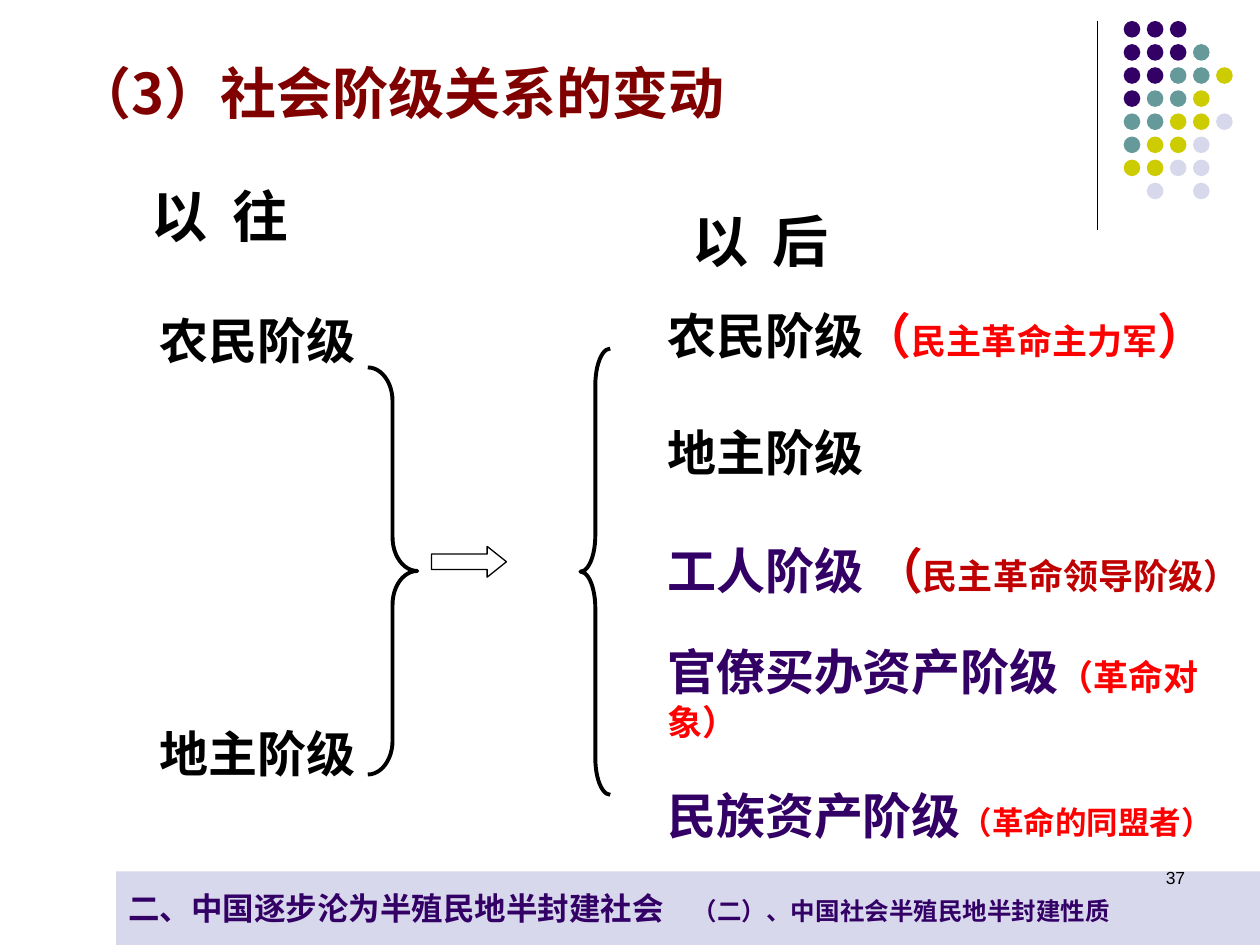
from lxml.etree import SubElement
from pptx import Presentation
from pptx.dml.color import RGBColor as RGB
from pptx.enum.shapes import MSO_CONNECTOR as LINE, MSO_SHAPE as SHAPE
from pptx.enum.text import MSO_ANCHOR as ANCHOR, PP_ALIGN as ALIGN
from pptx.oxml.ns import qn
from pptx.util import Pt

HUES = {"purple": "330066", "teal": "669999", "lime": "CCCC00",
        "pale": "D8D8EC", "maroon": "800000", "red": "FF0000",
        "dark": "C00000", "black": "000000", "white": "FFFFFF"}
CJK = "Noto Sans CJK SC"
DOTS = ["PPP", "PPPT", "PPTTL", "PTTL", "TTLLW", "TLLW", "LLWW", " W W"]
DOT_HUES = {"P": "purple", "T": "teal", "L": "lime", "W": "pale"}


def hue(name):
    return RGB.from_string(HUES[name])


def style(font, size=None, color=None, name=None, bold=None):
    if size:
        font.size = Pt(size)
    if color:
        font.color.rgb = hue(color)
    if bold is not None:
        font.bold = bold
    if name:
        font.name = name
        SubElement(font._rPr, qn("a:ea")).set("typeface", CJK)


def add_tabs(para, stops):
    tabs = SubElement(para._p.get_or_add_pPr(), qn("a:tabLst"))
    for stop in stops:
        SubElement(tabs, qn("a:tab"), pos=str(Pt(stop)), algn="l")


def write(para, runs, name=CJK, gap=0, tabs=(), bold=True):
    """Fill a paragraph with (text, size, color) runs."""
    if gap:
        para.space_before = Pt(gap)
    if tabs:
        add_tabs(para, tabs)
    if len(runs) == 1:
        style(para.font, runs[0][1], runs[0][2], name, bold)
        para.add_run().text = runs[0][0]
        return
    style(para.font, name=name, bold=bold)
    for text, size, color in runs:
        run = para.add_run()
        run.text = text
        style(run.font, size, color)


def add_box(slide, box):
    frame = slide.shapes.add_textbox(*map(Pt, box)).text_frame
    frame.word_wrap = True
    return frame


def add_shape(slide, kind, box, fill=None, line=None, width=0.75):
    shape = slide.shapes.add_shape(kind, *map(Pt, box))
    shape.shadow.inherit = False
    if fill:
        shape.fill.solid()
        shape.fill.fore_color.rgb = hue(fill)
    else:
        shape.fill.background()
    if line:
        shape.line.color.rgb = hue(line)
        shape.line.width = Pt(width)
    else:
        shape.line.fill.background()
    return shape


def corner(slide, left, top):
    # Upright rule and dot grid
    rule = slide.shapes.add_connector(
        LINE.STRAIGHT, Pt(left), Pt(top), Pt(left), Pt(top + 119.5))
    rule.line.color.rgb = hue("black")
    rule.line.width = Pt(0.75)
    SubElement(rule._element.spPr, qn("a:effectLst"))
    for row, keys in enumerate(DOTS):
        for col, key in enumerate(keys):
            if key in DOT_HUES:
                spot = (left + 15.1 + col * 13.2, top + row * 13.2, 9.5, 9.5)
                add_shape(slide, SHAPE.OVAL, spot, DOT_HUES[key])


def footer(slide, left, top, width, height):
    # Section band and page number
    band = add_shape(slide, SHAPE.RECTANGLE, (left, top, width, height), "pale")
    frame = band.text_frame
    frame.vertical_anchor = ANCHOR.MIDDLE
    para = frame.paragraphs[0]
    para.alignment = ALIGN.LEFT
    write(para, [("二、中国逐步沦为半殖民地半封建社会\t", 18, "purple"),
                 ("（二）、中国社会半殖民地半封建性质", 14, "purple")],
          "Arial", tabs=[322.5])
    page = add_box(slide, (left + 450, top - 6.2, 168, 36)).paragraphs[0]
    page.alignment = ALIGN.RIGHT
    write(page, [("37", 10, "black")], "Arial", bold=False)


def title(slide, box):
    # Slide title and the heading of the left column
    frame = add_box(slide, box)
    write(frame.paragraphs[0], [("（3）社会阶级关系的变动", 32, "maroon")])
    write(frame.add_paragraph(), [("\t以\t往", 32, "black")],
          gap=32, tabs=[43.6, 90])


def column(slide, box, rows):
    # Class list: each row is its gap, font and runs
    frame = add_box(slide, box)
    for i, (gap, name, runs) in enumerate(rows):
        para = frame.add_paragraph() if i else frame.paragraphs[0]
        write(para, runs, name, gap)


def brace(slide, kind, box, bend):
    shape = add_shape(slide, kind, box, line="black", width=2.25)
    shape.adjustments[0] = bend
    shape.adjustments[1] = 0.5


def main():
    deck = Presentation()
    deck.slide_width, deck.slide_height = Pt(720), Pt(540)
    slide = deck.slides.add_slide(deck.slide_layouts[6])

    corner(slide, 627, 12)
    footer(slide, 66.3, 498, 653.7, 42)
    title(slide, (36, 30, 578, 154))

    # Classes before and after
    column(slide, (84.2, 174.2, 130.3, 310), [
        (0, CJK, [("农民阶级", 28, "black")]),
        (202, CJK, [("地主阶级", 28, "black")])])
    column(slide, (374.2, 171, 345.8, 386), [
        (0, "Arial", [("农民阶级", 28, "black"), ("（", 28, "red"),
                      ("民主革命主力军", 20, "red"), ("）", 28, "red")]),
        (33, "Arial", [("地主阶级", 28, "black")]),
        (34, CJK, [("工人阶级", 28, "purple"), (" （", 28, "dark"),
                   ("民主革命领导阶级）", 20, "dark")]),
        (24, CJK, [("官僚买办资产阶级", 28, "purple"),
                   ("（革命对象）", 20, "red")]),
        (25, "Arial", [("民族资产阶级", 28, "purple"),
                       ("（革命的同盟者）", 18, "red")])])

    # Braces and the arrow between them
    brace(slide, SHAPE.LEFT_BRACE, (331.7, 199.2, 17, 255), 1.23)
    brace(slide, SHAPE.RIGHT_BRACE, (210.2, 210, 28.3, 232.6), 0.68)
    arrow = add_shape(slide, SHAPE.RIGHT_ARROW, (246.6, 312.2, 42.8, 17.6),
                      "white", "black")
    arrow.adjustments[0], arrow.adjustments[1] = 0.5, 0.625

    # Heading of the right column
    after = add_box(slide, (388.5, 114.5, 129.6, 46))
    write(after.paragraphs[0], [("以\t后", 32, "black")], "Arial", tabs=[46])

    deck.save("out.pptx")


if __name__ == "__main__":
    main()
